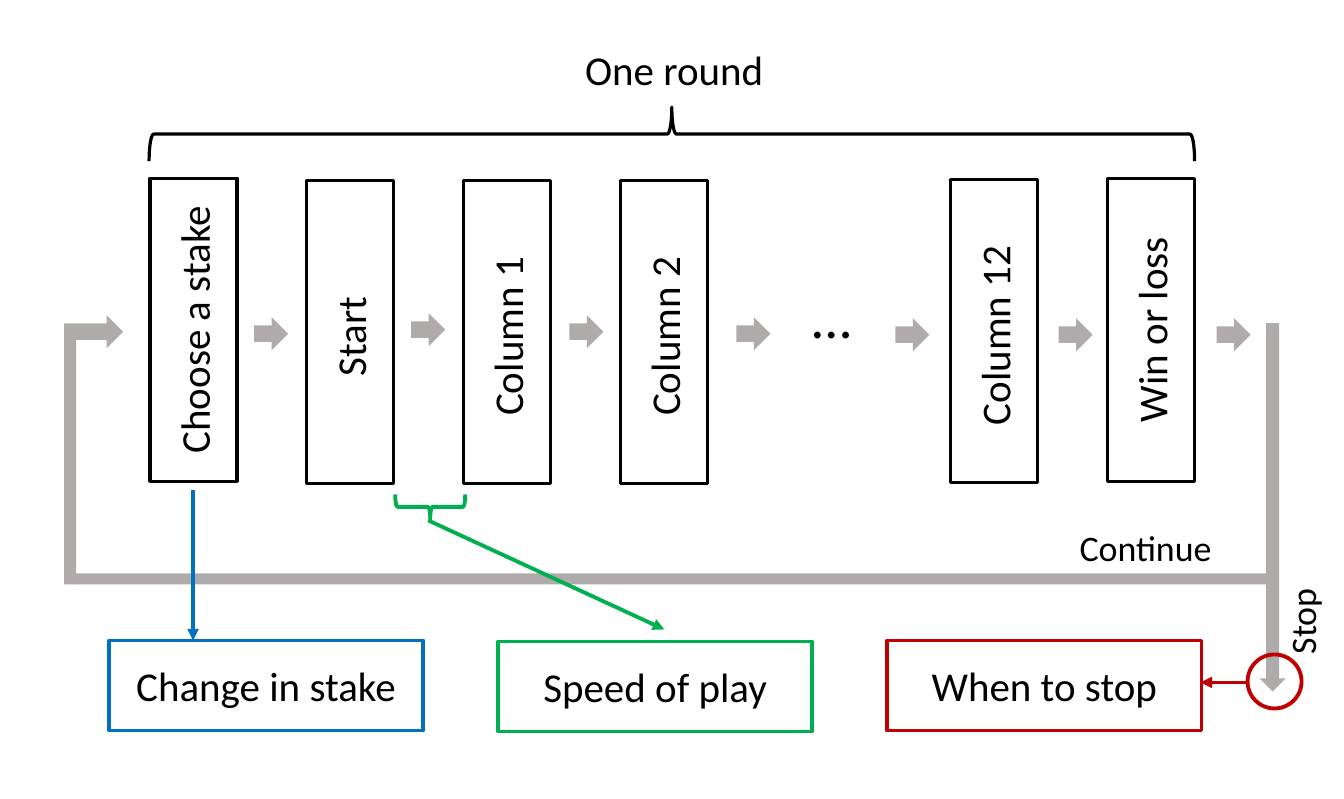
import pptx
import pptx.dml.color
import pptx.enum.shapes
import pptx.enum.text
import pptx.oxml.ns
import pptx.util
import lxml.etree

SHAPE = pptx.enum.shapes.MSO_SHAPE
ALIGN = pptx.enum.text.PP_ALIGN
ANCHOR = pptx.enum.text.MSO_ANCHOR
EMU_PER_PIXEL = 914400 / 92.2
BLACK, GREY, BLUE, GREEN, RED = "000000", "AFABAB", "0070C0", "00B050", "C00000"

STEPS = [
    ("Choose a stake", 150, 178),
    ("Start ", 306, 180),
    ("Column 1 ", 463, 180),
    ("Column 2 ", 620, 180),
    ("Column 12 ", 950, 179),
    ("Win or loss", 1107, 178),
]
STEP_SIZE = (87, 303)
STEP_ARROWS = [(254, 317), (411, 313), (569, 315), (736, 317),
               (895, 318), (1058, 318), (1216, 318)]
ARROW_SIZE = (34, 33)
MEASURES = [
    ("Change in stake", 109, 640, BLUE),
    ("Speed of play", 498, 641, GREEN),
    ("When to stop", 887, 640, RED),
]
MEASURE_SIZE = (314, 90)
LOOP_PARTS = [
    (SHAPE.RIGHT_ARROW, (64, 315, 59, 33)),
    (SHAPE.RECTANGLE, (64, 330, 12, 254)),
    (SHAPE.RECTANGLE, (74, 573, 1200, 11)),
    (SHAPE.DOWN_ARROW, (1259, 323, 26, 368)),
]
BRACES = [
    ((149, 107, 1045, 54), 270, BLACK, 2.5),
    ((395, 494, 70, 25), 90, GREEN, 3),
]
STOP_CIRCLE = (1247, 654, 54, 54)
LABELS = [
    ("One round", (486, 40, 376, 59), 32, ALIGN.CENTER, 0),
    ("…", (803, 277, 72, 77), 44, ALIGN.LEFT, 0),
    ("Continue", (1070, 521, 153, 53), 28, ALIGN.LEFT, 0),
    ("Stop", (1275, 549, 53, 114), 28, ALIGN.LEFT, 270),
]
POINTERS = [
    ((193, 490), (193, 640), BLUE),
    ((428, 520), (664, 629), GREEN),
    ((1247, 682), (1200, 682), RED),
]


def px(value):
    return round(value * EMU_PER_PIXEL)


def color(hex_string):
    return pptx.dml.color.RGBColor.from_string(hex_string)


def frame(area, rotation):
    left, top, width, height = area
    if rotation in (90, 270):
        left, top = left + (width - height) / 2, top + (height - width) / 2
        width, height = height, width
    return [px(value) for value in (left, top, width, height)]


def write(box, text, size, align, anchor):
    text_frame = box.text_frame
    text_frame.word_wrap = True
    text_frame.vertical_anchor = anchor
    para = text_frame.paragraphs[0]
    para.text = text
    para.alignment = align
    para.font.name = "Calibri"
    para.font.size = pptx.util.Pt(size)
    para.font.color.rgb = color(BLACK)


def add_shape(kind, area, rotation=0, fill=None, line=None, weight=3, text=None):
    shape = page.shapes.add_shape(kind, *frame(area, rotation))
    shape.rotation = rotation
    shape.shadow.inherit = False
    if fill:
        shape.fill.solid()
        shape.fill.fore_color.rgb = color(fill)
    else:
        shape.fill.background()
    if line:
        shape.line.color.rgb = color(line)
        shape.line.width = pptx.util.Pt(weight)
    else:
        shape.line.fill.background()
    if text:
        write(shape, text, 32, ALIGN.CENTER, ANCHOR.MIDDLE)


def add_label(text, area, size, align, rotation):
    box = page.shapes.add_textbox(*frame(area, rotation))
    box.rotation = rotation
    write(box, text, size, align, ANCHOR.TOP)


def add_pointer(start, end, line):
    pointer = page.shapes.add_connector(
        pptx.enum.shapes.MSO_CONNECTOR.STRAIGHT, *[px(value) for value in start + end])
    pointer.line.color.rgb = color(line)
    pointer.line.width = pptx.util.Pt(3)
    tail = lxml.etree.SubElement(pointer.line._get_or_add_ln(), pptx.oxml.ns.qn("a:tailEnd"))
    tail.set("type", "triangle")
    lxml.etree.SubElement(pointer._element.spPr, pptx.oxml.ns.qn("a:effectLst"))


deck = pptx.Presentation()
deck.slide_width = pptx.util.Inches(14.57)
deck.slide_height = pptx.util.Inches(8.66)
page = deck.slides.add_slide(deck.slide_layouts.get_by_name("Blank"))

for name, left, top in STEPS:
    add_shape(SHAPE.RECTANGLE, (left, top, *STEP_SIZE), 270, line=BLACK, weight=2.5, text=name)
for corner in STEP_ARROWS:
    add_shape(SHAPE.RIGHT_ARROW, corner + ARROW_SIZE, fill=GREY)
for name, left, top, outline in MEASURES:
    add_shape(SHAPE.RECTANGLE, (left, top, *MEASURE_SIZE), line=outline, text=name)
for area, rotation, outline, weight in BRACES:
    add_shape(SHAPE.RIGHT_BRACE, area, rotation, line=outline, weight=weight)
for kind, area in LOOP_PARTS:
    add_shape(kind, area, fill=GREY)
for pointer in POINTERS:
    add_pointer(*pointer)
add_shape(SHAPE.OVAL, STOP_CIRCLE, line=RED)
for label in LABELS:
    add_label(*label)

deck.save("out.pptx")
